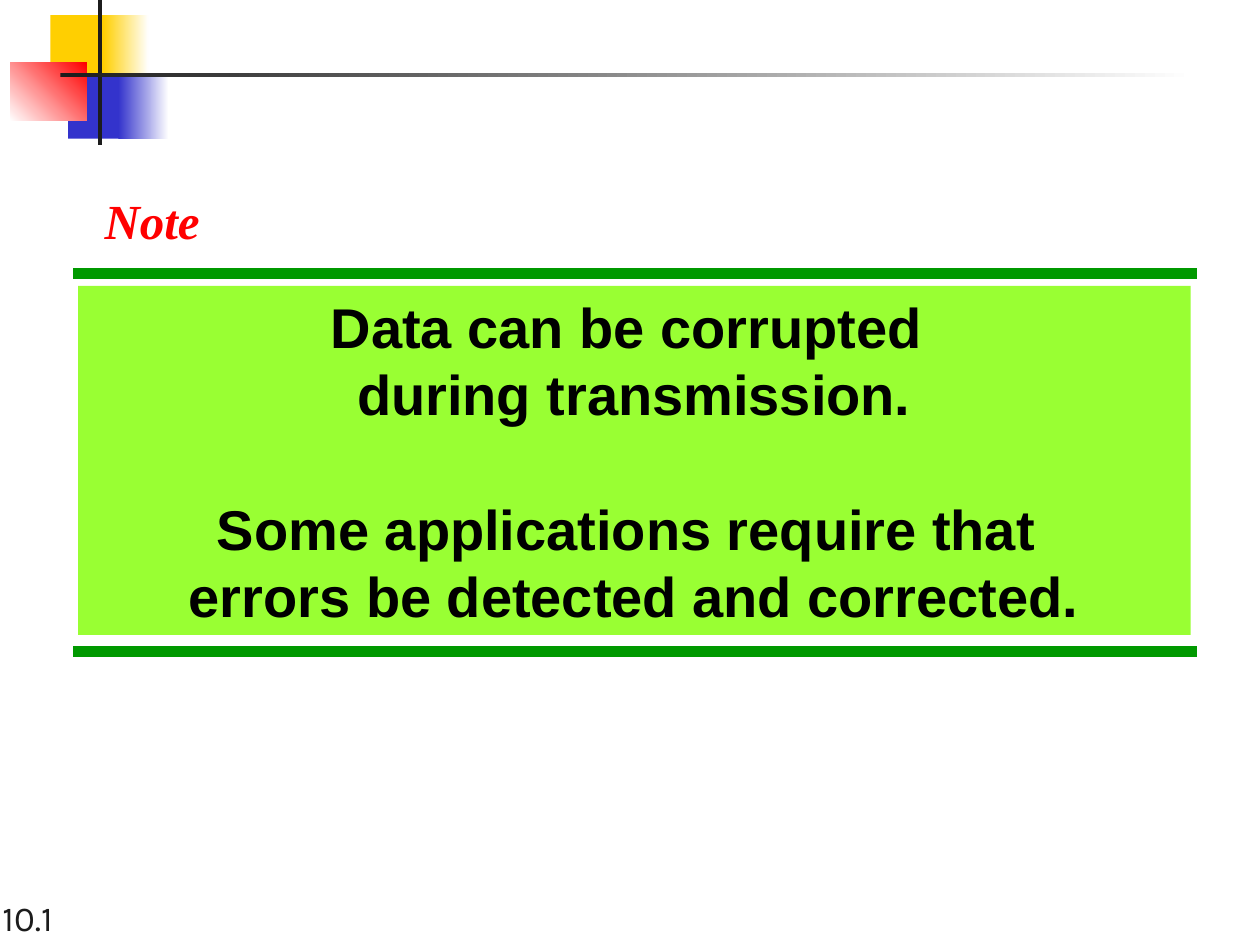
from dataclasses import dataclass

from lxml import etree
from pptx import Presentation
from pptx.dml.color import RGBColor
from pptx.enum.shapes import MSO_CONNECTOR, MSO_SHAPE
from pptx.enum.text import MSO_ANCHOR, PP_ALIGN
from pptx.oxml.ns import qn
from pptx.util import Inches, Pt

RECT = MSO_SHAPE.RECTANGLE
STRAIGHT = MSO_CONNECTOR.STRAIGHT
TOP, MIDDLE, BOTTOM = MSO_ANCHOR.TOP, MSO_ANCHOR.MIDDLE, MSO_ANCHOR.BOTTOM
LEFT, CENTER = PP_ALIGN.LEFT, PP_ALIGN.CENTER

WHITE = RGBColor(0xFF, 0xFF, 0xFF)
BLACK = RGBColor(0x00, 0x00, 0x00)
INK = RGBColor(0x1C, 0x1C, 0x1C)
YELLOW = RGBColor(0xFF, 0xCF, 0x01)
BLUE = RGBColor(0x33, 0x33, 0xCC)
RED = RGBColor(0xFF, 0x00, 0x00)
GREEN = RGBColor(0x00, 0x99, 0x00)
LIME = RGBColor(0x99, 0xFF, 0x33)


@dataclass
class Block:
    """A rectangle in inches; with an end colour it becomes a gradient."""
    left: float
    top: float
    width: float
    height: float
    color: RGBColor
    end: RGBColor | None = None
    angle: float = 0


@dataclass
class Style:
    font: str
    size: float
    color: RGBColor
    bold: bool = False
    italic: bool = False


ORNAMENT = [
    Block(0.4, 0.12, 0.48, 0.52, YELLOW),
    Block(0.82, 0.12, 0.36, 0.52, YELLOW, WHITE),
    Block(0.54, 0.58, 0.46, 0.52, BLUE),
    Block(0.94, 0.58, 0.4, 0.52, BLUE, WHITE),
    Block(0.08, 0.5, 0.61, 0.46, WHITE, RED, 45),
    Block(0.78, 0, 0.03, 1.15, INK),
    Block(0.48, 0.58, 9, 0.03, INK, WHITE),
]
PANEL = Block(0.62, 2.27, 8.83, 2.77, LIME)
RULE_TOPS = (2.17, 5.17)

NUMBER_STYLE = Style("Karla", 20, INK)
NOTE_STYLE = Style("Times New Roman", 28, RED, bold=True, italic=True)
BODY_STYLE = Style("Arial", 32, BLACK, bold=True)
BODY_PITCH = Pt(38.5)
BODY = [
    ("Data can be corrupted ", "during transmission."),
    ("Some applications require that ", "errors be detected and corrected."),
]


def add_block(slide, block: Block):
    sp = slide.shapes.add_shape(RECT, Inches(block.left), Inches(block.top),
                                Inches(block.width), Inches(block.height))
    sp.shadow.inherit = False
    sp.line.fill.background()
    if block.end is None:
        sp.fill.solid()
        sp.fill.fore_color.rgb = block.color
    else:
        sp.fill.gradient()
        sp.fill.gradient_angle = block.angle
        for stop, color, position in zip(sp.fill.gradient_stops,
                                         (block.color, block.end), (0, 1)):
            stop.color.rgb = color
            stop.position = position
    return sp


def add_rule(slide, top: float) -> None:
    line = slide.shapes.add_connector(STRAIGHT, Inches(0.58), Inches(top),
                                      Inches(9.5), Inches(top))
    line.line.color.rgb = GREEN
    line.line.width = Pt(6)
    etree.SubElement(line._element.spPr, qn("a:effectLst"))


def add_run(p, text: str, style: Style) -> None:
    r = p.add_run()
    r.text = text
    r.font.name = style.font
    r.font.size = Pt(style.size)
    r.font.color.rgb = style.color
    r.font.bold = style.bold
    r.font.italic = style.italic


def add_label(slide, left: float, top: float, width: float, height: float,
              text: str, style: Style, anchor, wrap: bool) -> None:
    box = slide.shapes.add_textbox(Inches(left), Inches(top),
                                   Inches(width), Inches(height))
    tf = box.text_frame
    tf.word_wrap = wrap
    tf.vertical_anchor = anchor
    tf.margin_left = Inches(0.02)
    p = tf.paragraphs[0]
    p.alignment = LEFT
    add_run(p, text, style)


def fill_panel(sp) -> None:
    tf = sp.text_frame
    tf.word_wrap = True
    tf.vertical_anchor = TOP
    for i, lines in enumerate(BODY):
        p = tf.add_paragraph() if i else tf.paragraphs[0]
        p.alignment = CENTER
        p.line_spacing = BODY_PITCH
        if i:
            p.space_before = BODY_PITCH
        for j, text in enumerate(lines):
            if j:
                p.add_line_break()
            add_run(p, text, BODY_STYLE)


def main() -> None:
    prs = Presentation()
    prs.slide_width, prs.slide_height = Inches(10), Inches(7.5)
    slide = prs.slides.add_slide(prs.slide_layouts[6])

    # Slide number
    add_label(slide, 0, 7, 2, 0.5, "10.1", NUMBER_STYLE, BOTTOM, True)

    # Corner ornament
    for block in ORNAMENT:
        add_block(slide, block)

    # Note panel between two rules
    for top in RULE_TOPS:
        add_rule(slide, top)
    fill_panel(add_block(slide, PANEL))
    add_label(slide, 0.81, 1.46, 0.88, 0.57, "Note", NOTE_STYLE, MIDDLE, False)

    prs.save("out.pptx")


if __name__ == "__main__":
    main()
